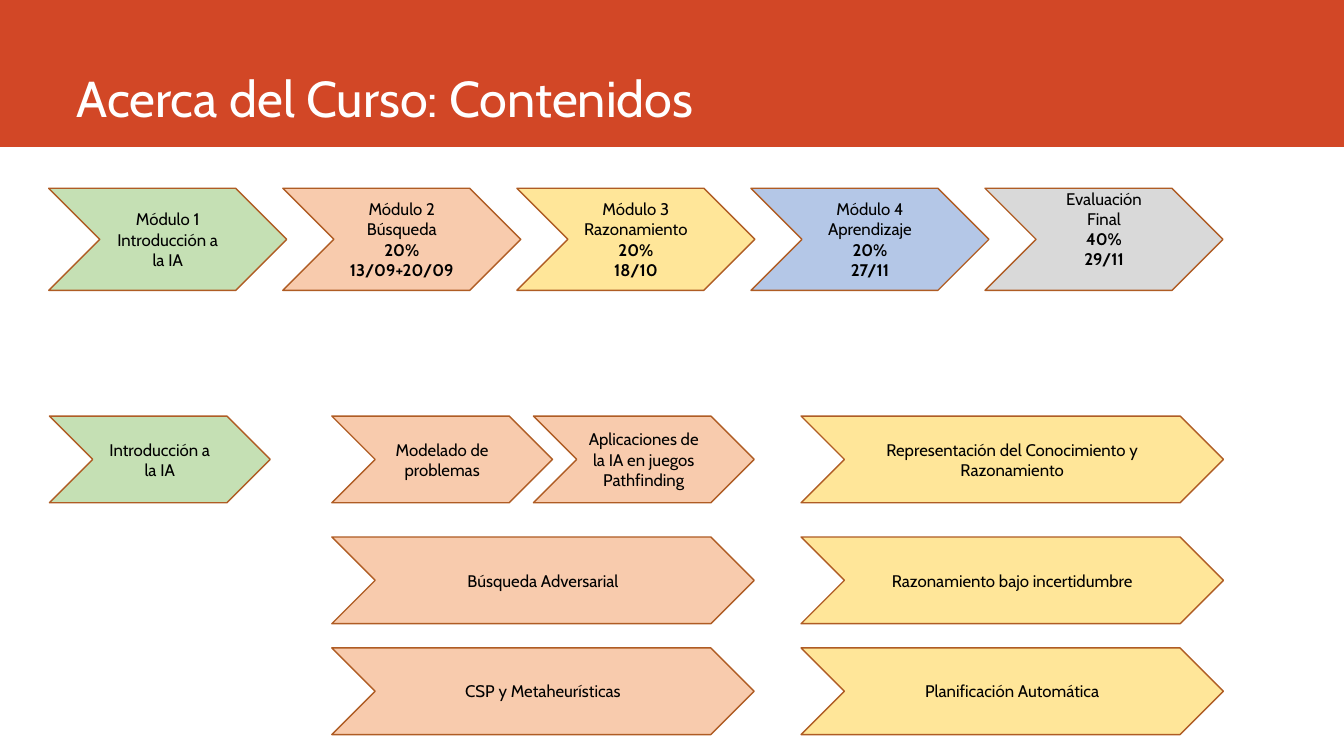
import pptx
import pptx.util
import pptx.dml.color
import pptx.enum.shapes
import pptx.enum.text

Pt = pptx.util.Pt
SHAPE = pptx.enum.shapes.MSO_SHAPE
ANCHOR = pptx.enum.text.MSO_ANCHOR
ALIGN = pptx.enum.text.PP_ALIGN

FONT = "Cabin"
COLOURS = {
    "band": "D24726", "outline": "AF5C24", "title": "FFFFFF", "text": "000000",
    "intro": "C5E0B4", "search": "F8CBAD", "reasoning": "FFE699",
    "learning": "B4C7E7", "final": "D9D9D9",
}

MODULES = [
    ("intro", ["Módulo 1", "Introducción a la IA"], []),
    ("search", ["Módulo 2", "Búsqueda"], ["20%", "13/09+20/09"]),
    ("reasoning", ["Módulo 3", "Razonamiento"], ["20%", "18/10"]),
    ("learning", ["Módulo 4", "Aprendizaje"], ["20%", "27/11"]),
    ("final", ["Evaluación", "Final"], ["40%", "29/11"]),
]

TOPIC_ROW_OFFSETS = [0, 86.4, 165.6]
TOPIC_HEIGHT = 61.9
SHORT_TOPIC_WIDTH = 157.7


def colour(name):
    """Return the named colour."""
    return pptx.dml.color.RGBColor.from_string(COLOURS[name])


def add_header(page, left, top, width, height):
    """Draw the title on a colour band that fills the given box."""
    band = page.shapes.add_shape(SHAPE.RECTANGLE, Pt(left), Pt(top), Pt(width), Pt(height))
    band.shadow.inherit = False
    band.fill.solid()
    band.fill.fore_color.rgb = colour("band")
    band.line.fill.background()

    title = page.shapes.title
    title.element.addprevious(band.element)
    title.left, title.top = Pt(left + 47.5), Pt(top)
    title.width, title.height = Pt(846.7), Pt(height - 10)
    frame = title.text_frame
    frame.text = "Acerca del Curso: Contenidos"
    frame.word_wrap = True
    frame.auto_size = pptx.enum.text.MSO_AUTO_SIZE.NONE
    frame.vertical_anchor = ANCHOR.BOTTOM
    para = frame.paragraphs[0]
    para.alignment = ALIGN.LEFT
    para.font.name, para.font.size = FONT, Pt(36)
    para.font.color.rgb = colour("title")


def add_chevron(page, left, top, width, height, fill, lines, bold_lines=()):
    """Draw one chevron with plain lines followed by bold lines."""
    chevron = page.shapes.add_shape(SHAPE.CHEVRON, Pt(left), Pt(top), Pt(width), Pt(height))
    chevron.shadow.inherit = False
    chevron.fill.solid()
    chevron.fill.fore_color.rgb = colour(fill)
    chevron.line.color.rgb = colour("outline")
    chevron.line.width = Pt(1)
    frame = chevron.text_frame
    frame.word_wrap = True
    frame.vertical_anchor = ANCHOR.MIDDLE
    frame.text = "\n".join([*lines, *bold_lines])
    for index, para in enumerate(frame.paragraphs):
        para.alignment = ALIGN.CENTER
        para.font.name, para.font.size = FONT, Pt(12)
        para.font.bold = index >= len(lines)
        para.font.color.rgb = colour("text")
    return chevron


def add_modules(page, left, top, width, height):
    """Spread the module chevrons evenly over the box."""
    chevron_width = 170
    pitch = (width - chevron_width) / (len(MODULES) - 1)
    for index, (fill, lines, bold_lines) in enumerate(MODULES):
        chevron = add_chevron(page, left + index * pitch, top, chevron_width, height,
                              fill, lines, bold_lines)
        if fill == "final":
            chevron.text_frame.vertical_anchor = ANCHOR.TOP
            chevron.text_frame.margin_top = Pt(0)


def add_topics(page, left, top, width, fill, rows):
    """Stack topic rows; a row of two topics is aligned to both edges."""
    for offset, row in zip(TOPIC_ROW_OFFSETS, rows):
        topic_width = width if len(row) == 1 else SHORT_TOPIC_WIDTH
        for index, lines in enumerate(row):
            add_chevron(page, left + index * (width - topic_width), top + offset,
                        topic_width, TOPIC_HEIGHT, fill, lines)


def build_contents(deck):
    """Build the course contents slide."""
    page = deck.slides.add_slide(deck.slide_layouts[5])
    add_header(page, 0, 0, 960, 105)
    add_modules(page, 34.8, 134.5, 838.8, 72.9)
    topics_top = 297.2
    add_topics(page, 35.3, topics_top, SHORT_TOPIC_WIDTH, "intro", [[["Introducción a la IA"]]])
    add_topics(page, 237, topics_top, 301.7, "search", [
        [["Modelado de problemas"], ["Aplicaciones de la IA en juegos", "Pathfinding"]],
        [["Búsqueda Adversarial"]],
        [["CSP y Metaheurísticas"]],
    ])
    add_topics(page, 572.2, topics_top, 301.7, "reasoning", [
        [["Representación del Conocimiento y Razonamiento"]],
        [["Razonamiento bajo incertidumbre"]],
        [["Planificación Automática"]],
    ])


def main():
    """Create and save the deck."""
    deck = pptx.Presentation()
    deck.slide_width, deck.slide_height = Pt(960), Pt(540)
    build_contents(deck)
    deck.save("out.pptx")


if __name__ == "__main__":
    main()
